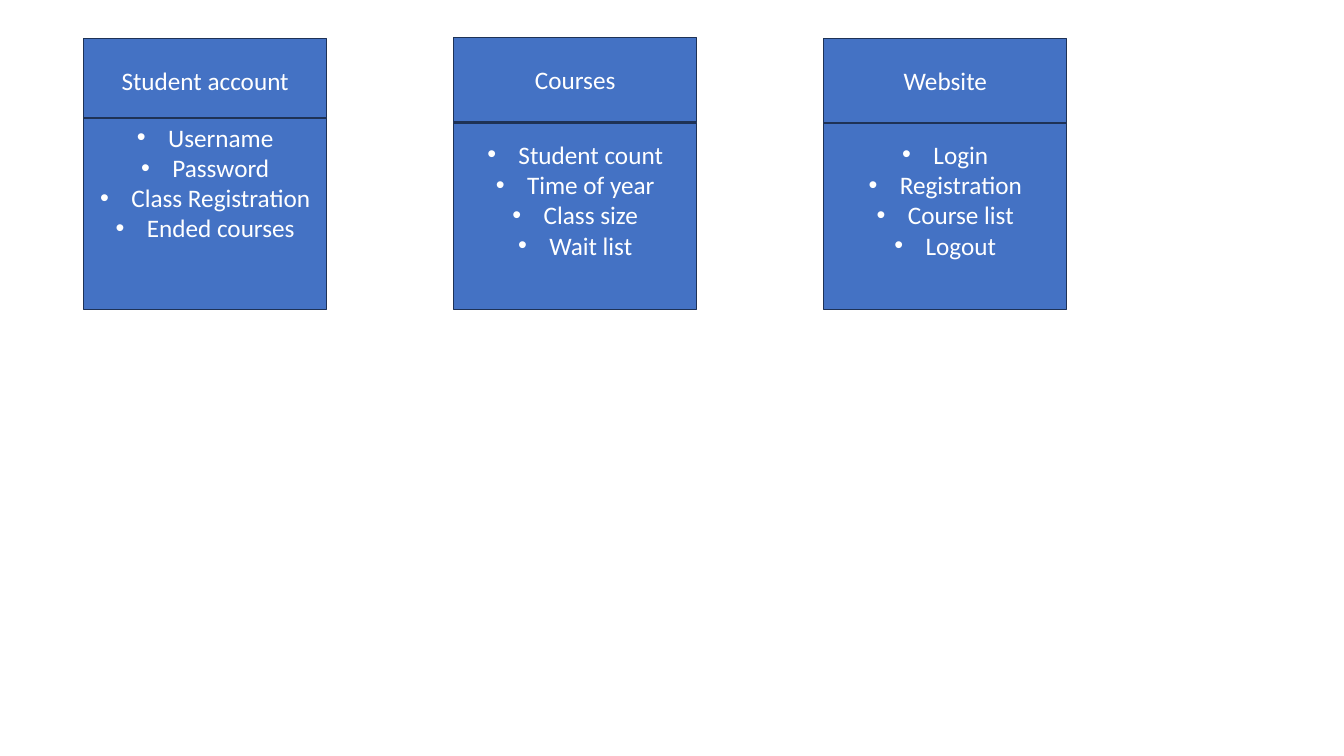
import pptx
import pptx.util
import pptx.dml.color
import pptx.enum.shapes
import pptx.enum.text
import lxml.etree

# Content: class name, header top, body top, body text inset, members
CLASSES = [
    ("Student account", 0.38, 1.17, 0.04,
     ["Username", "Password", "Class Registration", "Ended courses"]),
    ("Courses", 0.37, 1.22, 0.16,
     ["Student count", "Time of year", "Class size", "Wait list"]),
    ("Website", 0.38, 1.22, 0.16,
     ["Login", "Registration", "Course list", "Logout"]),
]

# Grid in inches
LEFT, COLUMN_STEP, CARD_WIDTH = 0.83, 3.67, 2.41
HEADER_HEIGHT, CARD_BOTTOM = 0.84, 3.07
BULLET_INDENT = pptx.util.Inches(0.31)

BLUE = pptx.dml.color.RGBColor(0x44, 0x72, 0xC4)
NAVY = pptx.dml.color.RGBColor(0x1E, 0x32, 0x56)
WHITE = pptx.dml.color.RGBColor(0xFF, 0xFF, 0xFF)


def add_bullet(paragraph):
    properties = paragraph._p.get_or_add_pPr()
    properties.set("marL", str(BULLET_INDENT))
    properties.set("indent", str(-BULLET_INDENT))
    namespace = properties.nsmap["a"]
    font = lxml.etree.SubElement(properties, f"{{{namespace}}}buFont")
    font.set("typeface", "Arial")
    bullet = lxml.etree.SubElement(properties, f"{{{namespace}}}buChar")
    bullet.set("char", "•")


def add_box(slide, left, top, height, lines, bulleted=False):
    box = slide.shapes.add_shape(
        pptx.enum.shapes.MSO_SHAPE.RECTANGLE,
        *(pptx.util.Inches(n) for n in (left, top, CARD_WIDTH, height)))
    box.shadow.inherit = False
    box.fill.solid()
    box.fill.fore_color.rgb = BLUE
    box.line.color.rgb = NAVY
    box.line.width = pptx.util.Pt(1)
    frame = box.text_frame
    frame.word_wrap = True
    frame.vertical_anchor = pptx.enum.text.MSO_ANCHOR.MIDDLE
    for index, line in enumerate(lines):
        paragraph = frame.add_paragraph() if index else frame.paragraphs[0]
        paragraph.alignment = pptx.enum.text.PP_ALIGN.CENTER
        if bulleted:
            add_bullet(paragraph)
        run = paragraph.add_run()
        run.text = line
        run.font.name = "Calibri"
        run.font.size = pptx.util.Pt(18)
        run.font.color.rgb = WHITE
    return frame


def main():
    deck = pptx.Presentation()
    deck.slide_width = pptx.util.Inches(13.33)
    deck.slide_height = pptx.util.Inches(7.5)
    slide = deck.slides.add_slide(deck.slide_layouts[6])

    # One card per class: header, then the member list over its lower edge
    for column, (name, top, body_top, inset, members) in enumerate(CLASSES):
        left = LEFT + column * COLUMN_STEP
        add_box(slide, left, top, HEADER_HEIGHT, [name])
        body = add_box(slide, left, body_top, CARD_BOTTOM - body_top,
                       members, bulleted=True)
        body.vertical_anchor = pptx.enum.text.MSO_ANCHOR.TOP
        body.margin_top = pptx.util.Inches(inset)

    deck.save("out.pptx")


if __name__ == "__main__":
    main()
